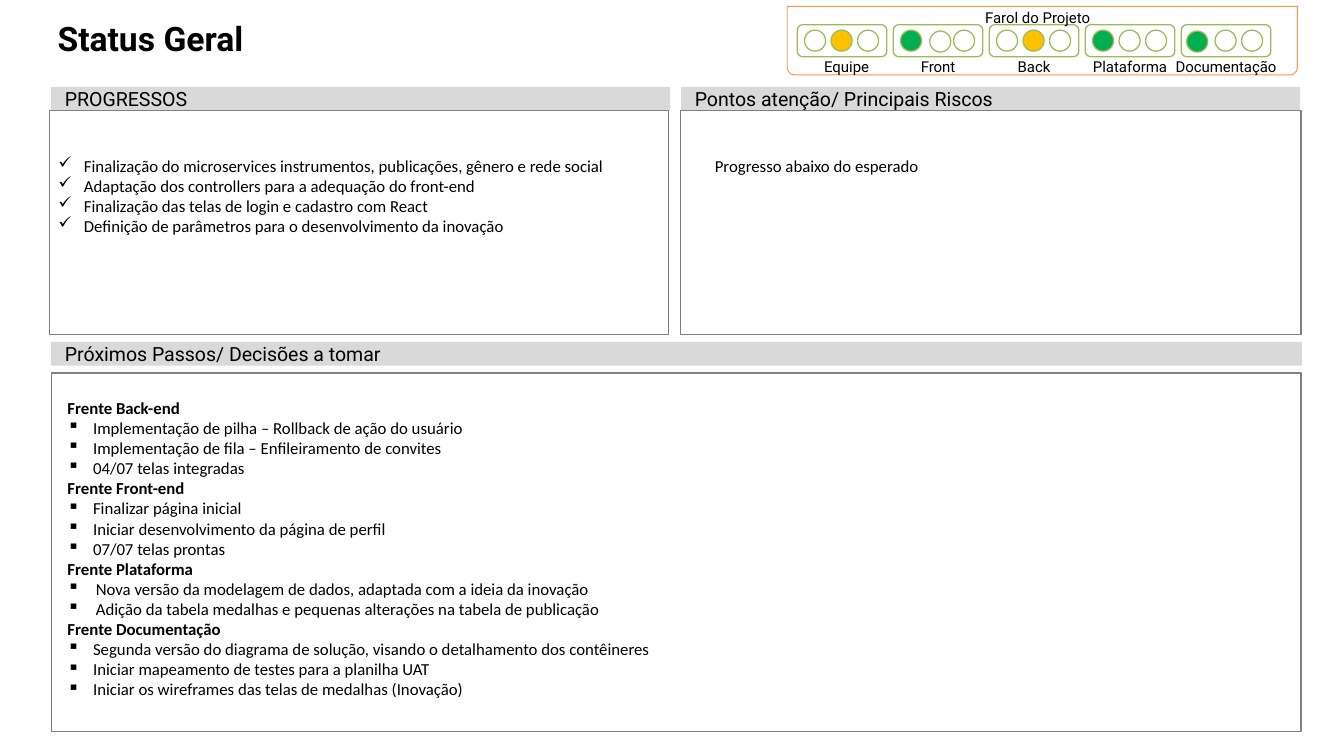
from dataclasses import dataclass
from typing import Any

from lxml.etree import SubElement
from pptx import Presentation
from pptx.dml.color import RGBColor
from pptx.enum.shapes import MSO_SHAPE
from pptx.enum.text import MSO_ANCHOR, MSO_AUTO_SIZE, PP_ALIGN
from pptx.oxml.ns import qn
from pptx.util import Inches, Pt

BLACK, WHITE, GRAY, GREEN = "000000", "FFFFFF", "808080", "9BBB59"
GO, WARN = "00B050", "FFC000"
Box = tuple[float, float, float, float]


@dataclass
class Line:
    text: str
    mark: str = ""
    dent: float = 0.28
    bold: bool = False
    level: int = 0


@dataclass
class Light:
    name: str
    lit: int
    tint: str
    label: float = 0
    moved: int = -1
    shift: float = 0


@dataclass
class Band:
    text: str
    box: Box


@dataclass
class Front:
    name: str
    steps: list[str]
    dent: float = 0.28


LIGHTS = [
    Light("Equipe", 1, WARN, label=0.05),
    Light("Front", 0, GO, moved=1, shift=0.03),
    Light("Back", 1, WARN),
    Light("Plataforma", 0, GO),
    Light("Documentação", 0, GO, moved=0, shift=-0.02),
]
BANDS = [
    Band("PROGRESSOS", (0.56, 0.95, 6.77, 0.26)),
    Band("Pontos atenção/ Principais Riscos", (7.45, 0.95, 6.77, 0.26)),
    Band("Próximos Passos/ Decisões a tomar", (0.56, 3.74, 13.68, 0.26)),
]
DONE = [
    "Finalização do microservices instrumentos, publicações, gênero e rede social",
    "Adaptação dos controllers para a adequação do front-end",
    "Finalização das telas de login e cadastro com React",
    "Definição de parâmetros para o desenvolvimento da inovação",
]
FRONTS = [
    Front("Frente Back-end", [
        "Implementação de pilha – Rollback de ação do usuário",
        "Implementação de fila – Enfileiramento de convites",
        "04/07 telas integradas",
    ]),
    Front("Frente Front-end", [
        "Finalizar página inicial",
        "Iniciar desenvolvimento da página de perfil",
        "07/07 telas prontas",
    ]),
    Front("Frente Plataforma", [
        "Nova versão da modelagem de dados, adaptada com a ideia da inovação",
        "Adição da tabela medalhas e pequenas alterações na tabela de publicação",
    ], dent=0.31),
    Front("Frente Documentação", [
        "Segunda versão do diagrama de solução, visando o detalhamento dos contêineres",
        "Iniciar mapeamento de testes para a planilha UAT",
        "Iniciar os wireframes das telas de medalhas (Inovação)",
    ]),
]


def paint(tint: str) -> RGBColor:
    return RGBColor.from_string(tint)


def apply(item: Any, values: dict[str, Any]) -> None:
    for key, value in values.items():
        setattr(item, key, value)


def place(box: Box) -> list[int]:
    return [Inches(side) for side in box]


def draw(shapes: Any, kind: MSO_SHAPE, box: Box, fill: str = "",
         line: str = "", width: float = 1) -> Any:
    shape = shapes.add_shape(kind, *place(box))
    shape.shadow.inherit = False
    if fill:
        shape.fill.solid()
        shape.fill.fore_color.rgb = paint(fill)
    else:
        shape.fill.background()
    if line:
        shape.line.color.rgb = paint(line)
        shape.line.width = Pt(width)
    else:
        shape.line.fill.background()
    return shape


def write(shape: Any, lines: list[Line], font: str, size: float,
          inset: Box = (0.1, 0.05, 0.1, 0.05), wrap: bool = True,
          anchor: MSO_ANCHOR = MSO_ANCHOR.TOP,
          align: PP_ALIGN = PP_ALIGN.LEFT, after: float = 0) -> None:
    frame = shape.text_frame
    left, top, right, base = place(inset)
    apply(frame, {
        "margin_left": left, "margin_top": top, "margin_right": right,
        "margin_bottom": base, "word_wrap": wrap,
        "vertical_anchor": anchor, "auto_size": MSO_AUTO_SIZE.NONE,
    })
    for index, line in enumerate(lines):
        para = frame.add_paragraph() if index else frame.paragraphs[0]
        apply(para, {"alignment": align, "level": line.level,
                     "space_before": Pt(0), "space_after": Pt(after)})
        props = para._p.get_or_add_pPr()
        dent = Inches(line.dent) if line.mark else 0
        props.set("marL", str(dent))
        props.set("indent", str(-dent))
        if line.mark:
            SubElement(props, qn("a:buChar")).set("char", line.mark)
        else:
            SubElement(props, qn("a:buNone"))
        run = para.add_run()
        run.text = line.text
        apply(run.font, {"name": font, "size": Pt(size), "bold": line.bold})
        run.font.color.rgb = paint(BLACK)


def tag(shapes: Any, text: str, box: Box) -> None:
    write(shapes.add_textbox(*place(box)), [Line(text)], "Roboto", 11.8,
          (0.06, 0.06, 0.06, 0), False, MSO_ANCHOR.BOTTOM, PP_ALIGN.CENTER)


def signal(shapes: Any, light: Light, left: float) -> None:
    group = shapes.add_group_shape().shapes
    draw(group, MSO_SHAPE.ROUNDED_RECTANGLE, (left, 0.27, 0.98, 0.35), WHITE, GREEN)
    for spot in range(3):
        moved = spot == light.moved
        start = left + 0.08 + 0.29 * spot + (light.shift if moved else 0)
        draw(group, MSO_SHAPE.OVAL, (start, 0.34 if moved else 0.33, 0.23, 0.23),
             light.tint if spot == light.lit else "", GREEN)
    tag(group, light.name, (left + light.label, 0.63, 0.98, 0.2))


def main() -> None:
    deck = Presentation()
    apply(deck, {"slide_width": Inches(14.7), "slide_height": Inches(8.27)})
    slide = deck.slides.add_slide(deck.slide_layouts[5])
    shapes = slide.shapes

    title = shapes.title
    left, top, width, height = place((0.51, 0.2, 13.23, 0.88))
    apply(title, {"left": left, "top": top, "width": width, "height": height})
    write(title, [Line("Status Geral", bold=True)], "Roboto", 26.5,
          (0.12, 0, 0.12, 0), after=8.8)

    panel = draw(shapes, MSO_SHAPE.ROUND_2_SAME_RECTANGLE,
                 (8.61, 0.07, 5.58, 0.75), line="F79646", width=0.75)
    panel.rotation = 180
    panel.adjustments[0] = 0.11
    for index, light in enumerate(LIGHTS):
        signal(shapes, light, 8.72 + 1.05 * index)
    tag(shapes, "Farol do Projeto", (10.86, 0.09, 0.98, 0.2))

    for band in BANDS:
        bar = draw(shapes, MSO_SHAPE.RECTANGLE, band.box, "D9D9D9")
        write(bar, [Line(band.text)], "Roboto", 15.4,
              (0.15, 0.07, 0.15, 0.07), anchor=MSO_ANCHOR.MIDDLE)

    done, _, _ = [draw(shapes, MSO_SHAPE.RECTANGLE, box, line=GRAY) for box in (
        (0.54, 1.21, 6.77, 2.45), (7.44, 1.21, 6.79, 2.45), (0.56, 4.08, 13.67, 3.92))]
    write(done, [Line(text, "✓") for text in DONE], "Calibri", 13.2,
          (0.1, 0.49, 0.1, 0.05))

    risk = shapes.add_textbox(*place((7.72, 1.65, 2.51, 0.32)))
    write(risk, [Line("Progresso abaixo do esperado")], "Calibri", 13.2, wrap=False)

    plan = []
    for front in FRONTS:
        plan.append(Line(front.name, bold=True, level=1))
        plan += [Line(step, "▪", front.dent, level=1) for step in front.steps]
    steps = shapes.add_textbox(*place((0.64, 4.3, 6.67, 3.4)))
    write(steps, plan, "Calibri", 13.2, wrap=False)

    deck.save("out.pptx")


if __name__ == "__main__":
    main()
